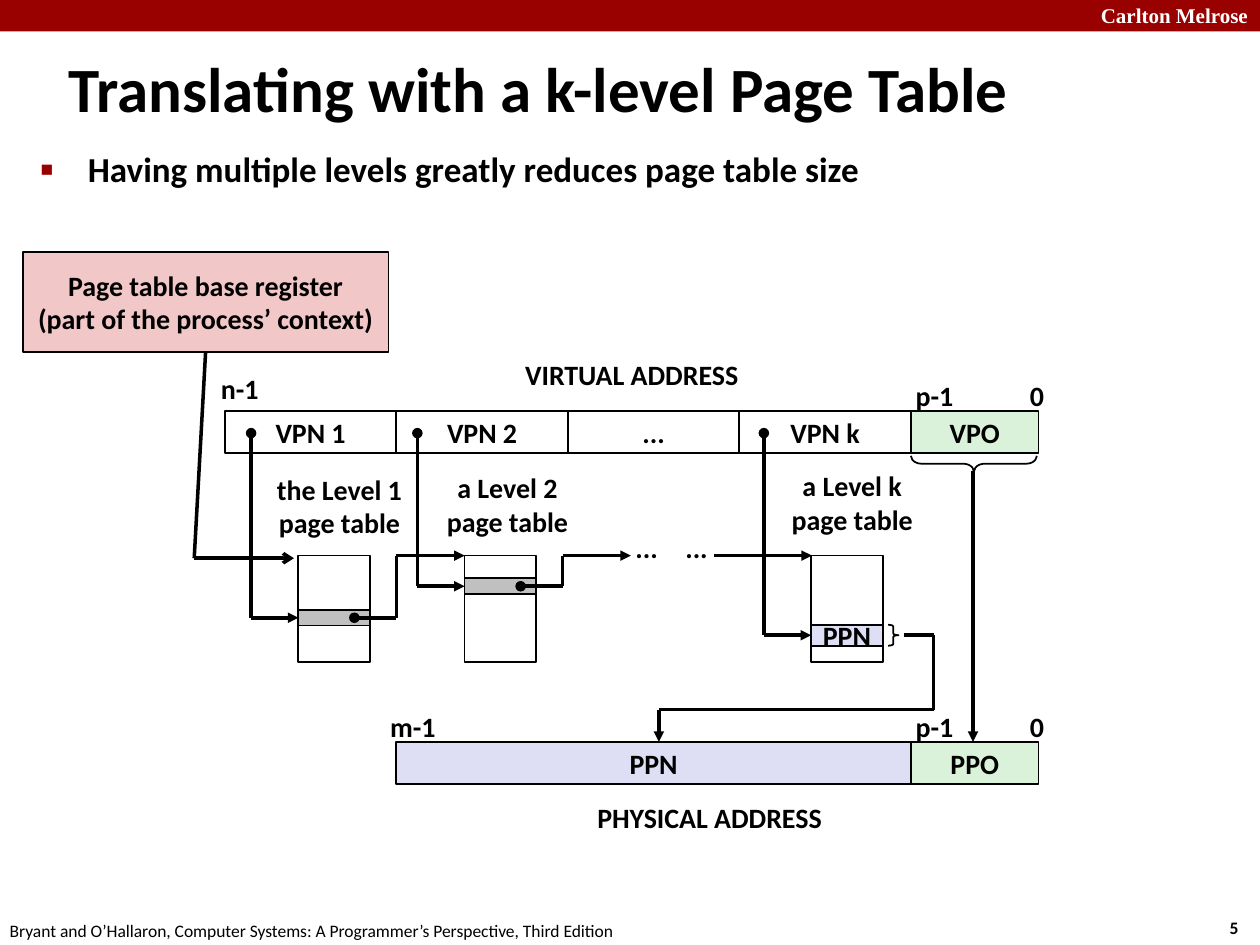
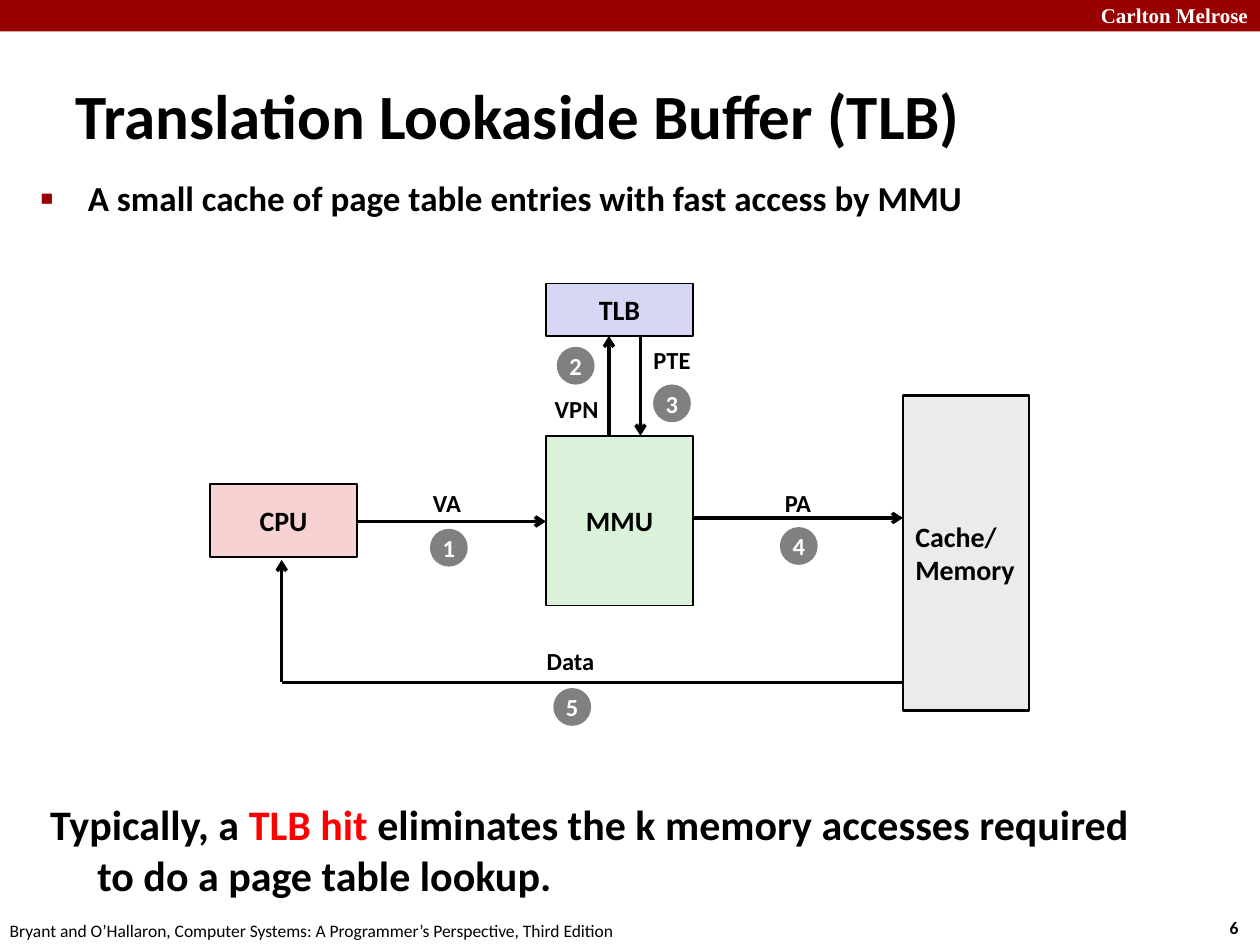
from lxml import etree
from pptx import Presentation
from pptx.dml.color import RGBColor
from pptx.enum import shapes as kinds, text as t
from pptx.oxml.ns import qn
from pptx.util import Pt

RED = RGBColor(0x99, 0x00, 0x00)
HOT = RGBColor(0xFF, 0x00, 0x00)
BLACK = RGBColor(0x00, 0x00, 0x00)
WHITE = RGBColor(0xFF, 0xFF, 0xFF)
PINK = RGBColor(0xF1, 0xC7, 0xC7)
ROSE = RGBColor(0xF6, 0xD2, 0xD2)
GREEN = RGBColor(0xDB, 0xF2, 0xDA)
LILAC = RGBColor(0xDE, 0xDF, 0xF5)
BLUE = RGBColor(0xD6, 0xD6, 0xF5)
SILVER = RGBColor(0xC0, 0xC0, 0xC0)
PALE = RGBColor(0xEB, 0xEB, 0xEB)
GRAY = RGBColor(0x80, 0x80, 0x80)

FORM = kinds.MSO_SHAPE
LEFT, MID = t.PP_ALIGN.LEFT, t.PP_ALIGN.CENTER
CREDIT = ("Bryant and O’Hallaron, Computer Systems: "
          "A Programmer’s Perspective, Third Edition")

TABLE_TOP, TABLE_WIDE, TABLE_HIGH = 317.5, 41, 61
FIELD_LEFT, FIELD_WIDE, FIELD_HIGH = 128.5, 98, 24
VIRTUAL_TOP, PHYSICAL_TOP = 235, 424
OFFSET_LEFT, OFFSET_WIDE = FIELD_LEFT + 4 * FIELD_WIDE, 73


def put(obj, **values):
    for name, value in values.items():
        setattr(obj, name, value)


def add_run(par, words, size=16, color=BLACK, face="Calibri", bold=True):
    run = par.add_run()
    run.text = words
    put(run.font, size=Pt(size), name=face, bold=bold)
    run.font.color.rgb = color
    return run


def write(shape, words, align=MID, wrap=False, anchor=t.MSO_ANCHOR.MIDDLE, **font):
    """Fill a shape with one paragraph for each line of words."""
    frame = shape.text_frame
    put(frame, word_wrap=wrap, vertical_anchor=anchor, auto_size=t.MSO_AUTO_SIZE.NONE)
    for i, line in enumerate(words.split("\n")):
        par = frame.add_paragraph() if i else frame.paragraphs[0]
        par.alignment = align
        add_run(par, line, **font)
    return frame.paragraphs[0]


def hang(par, depth):
    props = par._p.get_or_add_pPr()
    props.set("marL", str(Pt(depth)))
    props.set("indent", str(-Pt(depth)))
    return props


def place(shape, left, top, wide, high):
    put(shape, left=Pt(left), top=Pt(top), width=Pt(wide), height=Pt(high))


def box(slide, left, top, wide, high, words="", fill=None, line=1,
        form=FORM.RECTANGLE, **style):
    shape = slide.shapes.add_shape(form, Pt(left), Pt(top), Pt(wide), Pt(high))
    shape.shadow.inherit = False
    if fill is None:
        shape.fill.background()
    else:
        shape.fill.solid()
        shape.fill.fore_color.rgb = fill
    if line:
        shape.line.color.rgb = BLACK
        shape.line.width = Pt(line)
    else:
        shape.line.fill.background()
    if words:
        write(shape, words, **style)
    return shape


def note(slide, left, top, wide, high, words, **style):
    shape = slide.shapes.add_textbox(Pt(left), Pt(top), Pt(wide), Pt(high))
    return write(shape, words, **style)


def label(slide, mid_x, mid_y, wide, words, high=27, **style):
    """Text centred on a point."""
    note(slide, mid_x - wide / 2, mid_y - high / 2, wide, high, words, **style)


def badge(slide, mid_x, mid_y, number):
    size = 21.6
    box(slide, mid_x - size / 2, mid_y - size / 2, size, size, str(number),
        GRAY, 0, FORM.OVAL, size=14, color=WHITE)


def brace(slide, left, top, wide, high, curl, turn=0):
    shape = box(slide, left, top, wide, high, form=FORM.RIGHT_BRACE)
    shape.adjustments[0] = curl
    shape.rotation = turn


def path(slide, *points, head=None, tail=None):
    """Straight lines through the points, with optional end marks."""
    last = len(points) - 2
    for i, (start, end) in enumerate(zip(points, points[1:])):
        line = slide.shapes.add_connector(
            kinds.MSO_CONNECTOR.STRAIGHT, *(Pt(n) for n in start + end))
        line.line.color.rgb = BLACK
        line.line.width = Pt(2)
        stroke = line.line._get_or_add_ln()
        for tag, mark, here in (("a:headEnd", head, i == 0), ("a:tailEnd", tail, i == last)):
            if mark and here:
                etree.SubElement(stroke, qn(tag), type=mark)
        etree.SubElement(line._element.spPr, qn("a:effectLst"))


def frame_slide(deck, title, left, top, wide, point, point_top):
    """New slide with band, footer, title and one bullet."""
    slide = deck.slides.add_slide(deck.slide_layouts[1])
    box(slide, 0, 0, 720, 18, fill=RED, line=0)
    note(slide, 622, -2, 103, 21.6, "Carlton Melrose", align=LEFT,
         size=12, color=WHITE, face="Times New Roman")
    number = note(slide, 695.5, 520.5, 27, 19.5, str(len(deck.slides) + 4),
                  align=LEFT, size=10)
    field = number.runs[0]._r
    field.tag = qn("a:fld")
    field.set("id", "{B6F15528-21DE-4FAA-801E-634DDDAF4B2B}")
    field.set("type", "slidenum")
    note(slide, -1.5, 522, 366, 19.5, CREDIT, align=LEFT, size=10, bold=False)

    place(slide.shapes.title, left, top, wide, 62)
    hang(write(slide.shapes.title, title, LEFT, True, size=36), 9.4)

    body = slide.placeholders[1]
    place(body, 16, point_top, 690, 66)
    par = write(body, point, LEFT, True, t.MSO_ANCHOR.TOP, size=20)
    put(par, line_spacing=0.83, space_before=Pt(12))
    props = hang(par, 27)
    color = etree.SubElement(props, qn("a:buClr"))
    etree.SubElement(color, qn("a:srgbClr"), val=str(RED))
    etree.SubElement(props, qn("a:buSzPct"), val="60000")
    etree.SubElement(props, qn("a:buChar"), char="■")
    return slide


def page_table(slide, left, top, high, fill, words="", chain=True):
    """Page table, the index arrow into its entry, and the link to the next."""
    mid = top + high / 2
    box(slide, left, TABLE_TOP, TABLE_WIDE, TABLE_HIGH)
    box(slide, left, top, TABLE_WIDE, high, words, fill)
    path(slide, (left - 27, 247.5), (left - 27, mid), (left, mid),
         head="oval", tail="triangle")
    if chain:
        path(slide, (left + 32, mid), (left + 56, mid), (left + 56, TABLE_TOP),
             (left + 95, TABLE_TOP), head="oval", tail="triangle")


def draw_levels(deck):
    slide = frame_slide(deck, "Translating with a k-level Page Table", 32, 19, 652,
                        "Having multiple levels greatly reduces page table size", 85)
    box(slide, 13, 144, 209, 57,
        "Page table base register\n(part of the process’ context)", PINK)
    path(slide, (117.5, 201), (111, 319), (168, 319), tail="arrow")

    for i, name in enumerate(("VPN 1", "VPN 2", "...", "VPN k")):
        box(slide, FIELD_LEFT + i * FIELD_WIDE, VIRTUAL_TOP, FIELD_WIDE, FIELD_HIGH, name)
    for top, name in ((VIRTUAL_TOP, "VPO"), (PHYSICAL_TOP, "PPO")):
        box(slide, OFFSET_LEFT, top, OFFSET_WIDE, FIELD_HIGH, name, GREEN)
        label(slide, 534, top - 9, 37, "p-1")
        label(slide, 592.5, top - 9, 23, "0")
    ppn_left = FIELD_LEFT + FIELD_WIDE
    box(slide, ppn_left, PHYSICAL_TOP, OFFSET_LEFT - ppn_left, FIELD_HIGH, "PPN", LILAC)

    page_table(slide, 170.5, 348.5, 9, SILVER)
    page_table(slide, 265.5, 330.5, 9, SILVER)
    page_table(slide, 463.5, 357, 12, LILAC, "PPN", chain=False)
    path(slide, (408, TABLE_TOP), (464, TABLE_TOP), tail="triangle")
    path(slide, (556, 269), (556, PHYSICAL_TOP), tail="triangle")
    path(slide, (516.5, 363), (533.5, 363), (533.5, 405.5), (376.5, 405.5),
         (376.5, PHYSICAL_TOP), tail="triangle")
    brace(slide, 552, 229, 9, 72, 0.68, 90)
    brace(slide, 507.5, 357, 6, 12, 0.16)

    for x, y, wide, words in (
            (137, 222, 37, "n-1"), (236, 415, 41, "m-1"),
            (361, 214, 140, "VIRTUAL ADDRESS"), (405.5, 467, 150, "PHYSICAL ADDRESS"),
            (369.5, 313, 27, "..."), (398, 313, 27, "...")):
        label(slide, x, y, wide, words)
    for x, y, name in ((194, 289, "the Level 1"), (290, 288, "a Level 2"),
                       (487, 287, "a Level k")):
        label(slide, x, y, 86, name + "\npage table", high=46)


def draw_buffer(deck):
    slide = frame_slide(deck, "Translation Lookaside Buffer (TLB)", 36, 34.5, 686,
                        "A small cache of page table entries with fast access by MMU", 101.5)
    box(slide, 312, 249, 84, 97, "MMU", GREEN)
    box(slide, 516, 226, 72, 180, "Cache/\nMemory", PALE, 1.5, align=LEFT)
    box(slide, 120, 276.5, 84, 42, "CPU", ROSE)
    box(slide, 312, 162, 84, 30, "TLB", BLUE)

    for points in (((204, 298), (312, 298)), ((348, 249), (348, 192)),
                   ((366, 192), (366, 249)), ((396, 296), (516, 296)),
                   ((516, 390), (161, 390), (161, 320))):
        path(slide, *points, tail="arrow")

    steps = (("VA", 255.5, 287.5, 30, 256.5, 313), ("VPN", 329.5, 233.5, 40, 329, 209),
             ("PTE", 384, 205.5, 36, 384, 230.5), ("PA", 456, 287.5, 30, 456.5, 312),
             ("Data", 326, 377.5, 42, 327, 404))
    for number, (name, x, y, wide, badge_x, badge_y) in enumerate(steps, 1):
        label(slide, x, y, wide, name, high=24, size=14)
        badge(slide, badge_x, badge_y, number)

    par = note(slide, 21.5, 453, 644.5, 45, "Typically, a ", align=LEFT, wrap=True,
               anchor=t.MSO_ANCHOR.TOP, size=24)
    add_run(par, "TLB hit", 24, HOT)
    add_run(par, " eliminates the k memory accesses required to do a page table lookup.", 24)
    par.space_before = Pt(4.8)
    hang(par, 27)


def main():
    deck = Presentation()
    put(deck, slide_width=Pt(720), slide_height=Pt(540))
    deck.element.set("firstSlideNum", "5")
    draw_levels(deck)
    draw_buffer(deck)
    deck.save("out.pptx")


if __name__ == "__main__":
    main()
